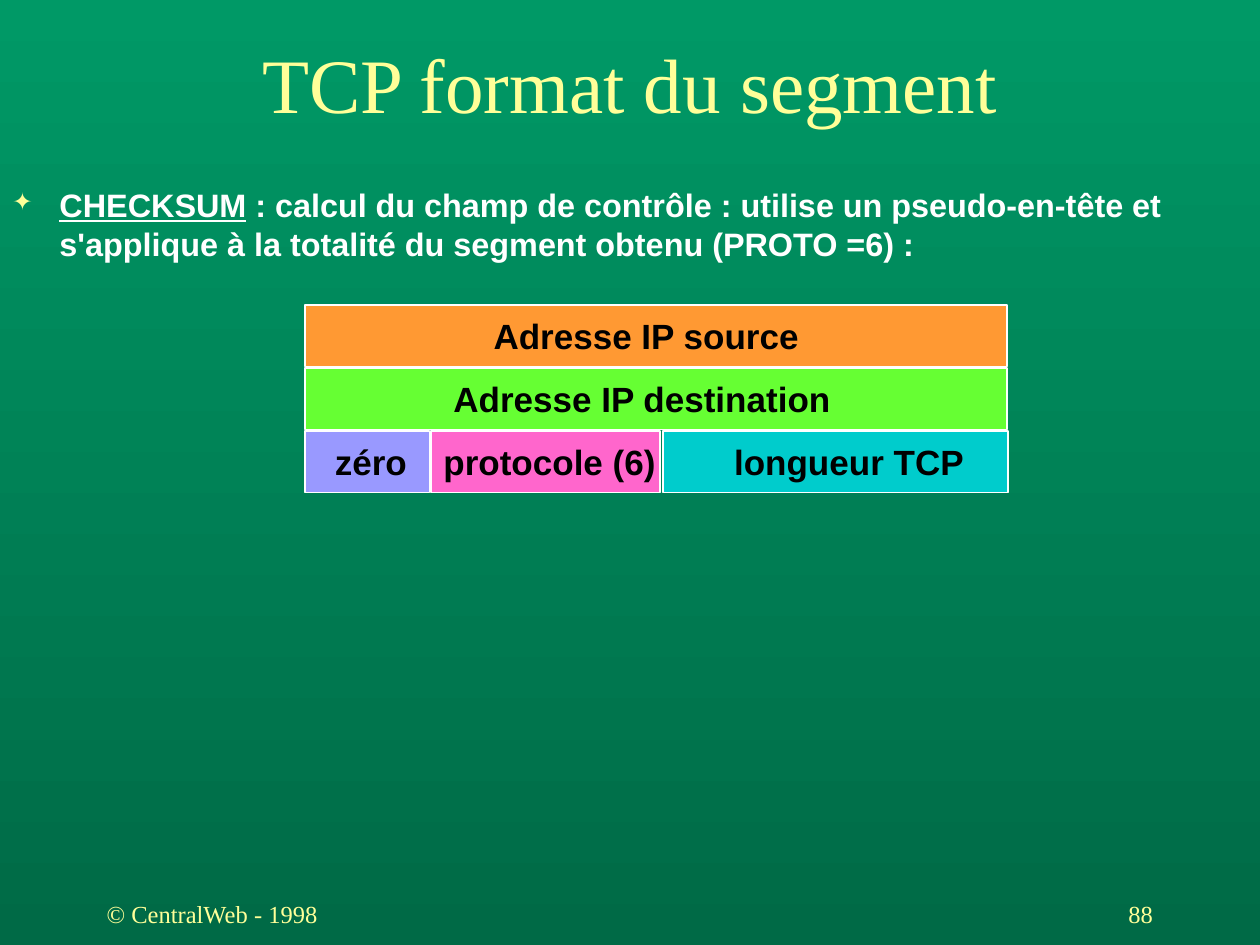
from dataclasses import dataclass

from lxml.etree import SubElement
from pptx import Presentation
from pptx.dml.color import RGBColor
from pptx.enum.shapes import MSO_SHAPE as SHAPE
from pptx.enum.text import MSO_ANCHOR as ANCHOR, PP_ALIGN as ALIGN
from pptx.oxml.ns import qn
from pptx.util import Cm, Pt

SERIF, SANS = "Times New Roman", "Arial"
YELLOW, WHITE, BLACK = "FFFF99", "FFFFFF", "000000"
ROW_TOP, ROW_PITCH, ROW_HEIGHT = 6.15, 1.27, 1.24
LABEL_HEIGHT = 1.09


@dataclass
class Field:
    label: str
    row: int
    left: float
    width: float
    fill: str
    label_left: float
    label_width: float
    wrap: bool = True


FIELDS = [
    Field("Adresse IP source", 0, 6.15, 14.15, "FF9933", 9.7, 7.67),
    Field("Adresse IP destination", 1, 6.15, 14.15, "66FF33", 8.89, 11.23),
    Field("zéro", 2, 6.15, 2.51, "9999FF", 6.5, 1.96, False),
    Field("protocole (6)", 2, 8.69, 4.62, "FF66CC", 8.69, 4.95),
    Field("longueur TCP", 2, 13.36, 6.96, "00CCCC", 14.55, 5.16, False),
]


def paint(color, value: str) -> None:
    color.rgb = RGBColor.from_string(value)


def add_run(p, text: str, *, size: float, font: str, color: str,
            bold: bool = False, underline: bool = False) -> None:
    r = p.add_run()
    r.text = text
    r.font.size, r.font.name = Pt(size), font
    r.font.bold, r.font.underline = bold, underline
    paint(r.font.color, color)


def add_text(s, text: str, left: float, top: float, width: float, height: float,
             *, align=ALIGN.LEFT, anchor=ANCHOR.TOP, wrap: bool = True, **fmt):
    tf = s.shapes.add_textbox(Cm(left), Cm(top), Cm(width), Cm(height)).text_frame
    tf.word_wrap, tf.vertical_anchor = wrap, anchor
    p = tf.paragraphs[0]
    p.alignment = align
    add_run(p, text, **fmt)
    return p


def add_bullet(p, char: str, color: str, percent: int, indent: float) -> None:
    pPr = p._p.get_or_add_pPr()
    pPr.set("marL", str(Cm(indent)))
    pPr.set("indent", str(-Cm(indent)))
    SubElement(SubElement(pPr, qn("a:buClr")), qn("a:srgbClr"), val=color)
    SubElement(pPr, qn("a:buSzPct"), val=str(percent * 1000))
    SubElement(pPr, qn("a:buChar"), char=char)


def add_field(s, field: Field) -> None:
    top = ROW_TOP + field.row * ROW_PITCH
    sp = s.shapes.add_shape(SHAPE.RECTANGLE, Cm(field.left), Cm(top),
                            Cm(field.width), Cm(ROW_HEIGHT))
    sp.shadow.inherit = False
    sp.fill.solid()
    paint(sp.fill.fore_color, field.fill)
    paint(sp.line.color, WHITE)
    sp.line.width = Pt(1)
    add_text(s, field.label, field.label_left, top + (ROW_HEIGHT - LABEL_HEIGHT) / 2,
             field.label_width, LABEL_HEIGHT, wrap=field.wrap,
             size=20, font=SANS, color=BLACK, bold=True)


def set_background(s, start: str, end: str) -> None:
    fill = s.background.fill
    fill.gradient()
    fill.gradient_angle = 270
    for stop, position, value in zip(fill.gradient_stops, (0, 1), (start, end)):
        stop.position = position
        paint(stop.color, value)


def main() -> None:
    prs = Presentation()
    prs.slide_width, prs.slide_height = Cm(25.4), Cm(19.05)
    s = prs.slides.add_slide(prs.slide_layouts[6])
    set_background(s, "009966", "006A46")

    add_text(s, "TCP format du segment", 0, 0.79, 25.4, 1.75, align=ALIGN.CENTER,
             anchor=ANCHOR.MIDDLE, size=44, font=SERIF, color=YELLOW)

    body = dict(size=18.5, font=SANS, color=WHITE, bold=True)
    p = add_text(s, "CHECKSUM", 0, 3.61, 25.2, 1.9, underline=True, **body)
    add_run(p, " : calcul du champ de contrôle : utilise un pseudo-en-tête et "
               "s'applique à la totalité du segment obtenu (PROTO =6) :", **body)
    add_bullet(p, "✦", YELLOW, 75, 0.95)

    for field in FIELDS:
        add_field(s, field)

    footer = dict(anchor=ANCHOR.MIDDLE, size=14, font=SERIF, color=YELLOW)
    add_text(s, "88", 18.2, 17.78, 5.29, 1.27, align=ALIGN.RIGHT, **footer)
    add_text(s, "© CentralWeb - 1998", 1.9, 17.78, 5.29, 1.27, **footer)

    prs.save("out.pptx")


if __name__ == "__main__":
    main()
